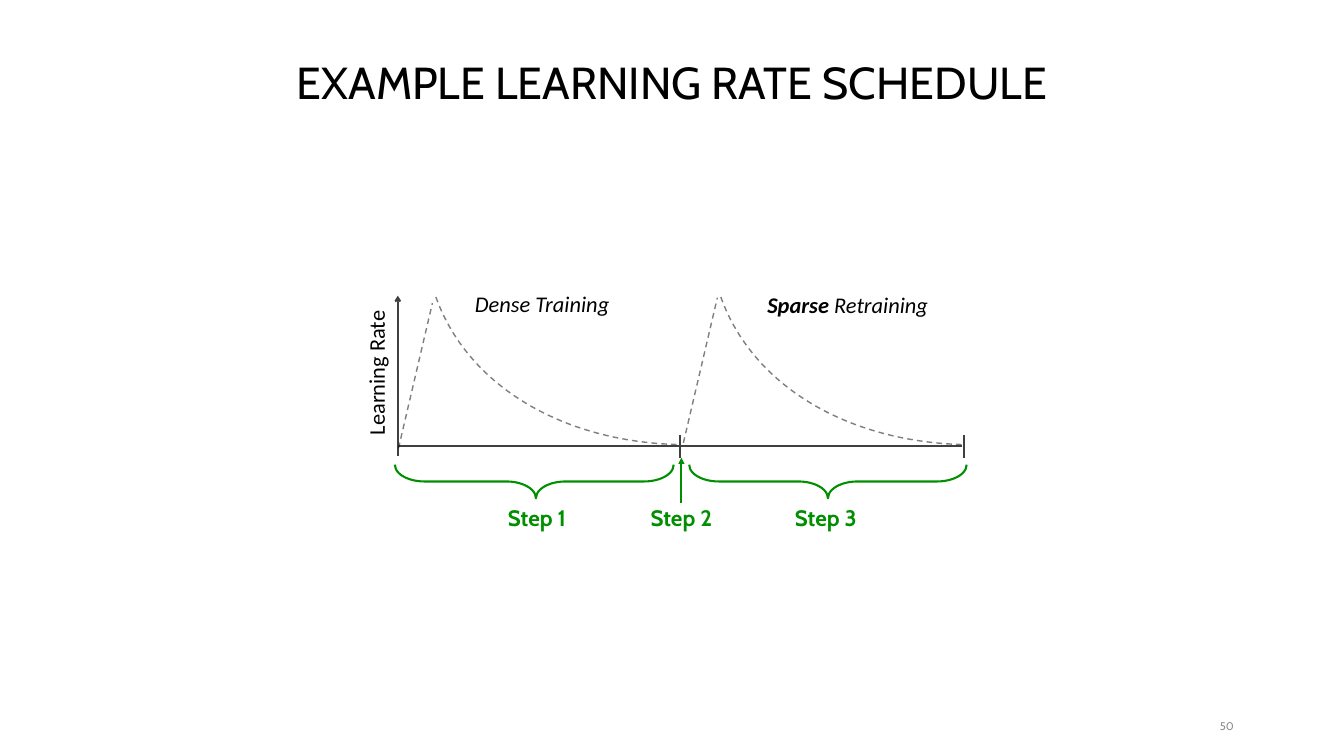
from lxml.etree import SubElement
from pptx import Presentation
from pptx.dml.color import RGBColor
from pptx.enum.dml import MSO_LINE
from pptx.enum.shapes import MSO_CONNECTOR, MSO_SHAPE
from pptx.enum.text import MSO_ANCHOR, PP_ALIGN
from pptx.oxml.ns import qn
from pptx.util import Pt

BLACK = RGBColor(0x00, 0x00, 0x00)
AXIS_GRAY = RGBColor(0x40, 0x40, 0x40)
NUMBER_GRAY = RGBColor(0x8C, 0x8C, 0x8C)
GREEN = RGBColor(0x00, 0x8F, 0x00)
AXIS_LEFT, AXIS_Y = 426.24, 478.08
CYCLE_WIDTH = 303.12
CYCLE_ENDS = (728.64, 1032.48)


def add_text(page, area, runs, size, font, color=BLACK, align=PP_ALIGN.CENTER,
             anchor=MSO_ANCHOR.TOP, spacing=None, wrap=True, inset=True):
    """Add a one-paragraph text box; runs are (text, bold, italic) triples."""
    box = page.shapes.add_textbox(*map(Pt, area))
    frame = box.text_frame
    frame.word_wrap = wrap
    frame.vertical_anchor = anchor
    if not inset:
        frame.margin_left = frame.margin_right = 0
        frame.margin_top = frame.margin_bottom = 0
    para = frame.paragraphs[0]
    para.alignment = align
    if spacing:
        para.line_spacing = spacing
    para.font.size = Pt(size)
    para.font.name = font
    para.font.color.rgb = color
    for text, bold, italic in runs:
        span = para.add_run()
        span.text = text
        span.font.bold = bold
        span.font.italic = italic
    return box


def style_line(shape, color, width):
    """Set the colour and width of an outline."""
    shape.line.color.rgb = color
    shape.line.width = Pt(width)


def dash_line(shape):
    """Give an outline the half-transparent dashes of the rate curve."""
    style_line(shape, BLACK, 1.5)
    shape.line.dash_style = MSO_LINE.DASH
    color = shape.line._get_or_add_ln().find(".//" + qn("a:srgbClr"))
    SubElement(color, qn("a:alpha"), val="50000")


def add_line(page, start, end, color=AXIS_GRAY, width=2, arrow=None):
    """Add a straight line, with an arrowhead at its end if one is named."""
    line = page.shapes.add_connector(
        MSO_CONNECTOR.STRAIGHT, *map(Pt, (*start, *end)))
    style_line(line, color, width)
    if arrow:
        SubElement(line.line._get_or_add_ln(), qn("a:tailEnd"), type=arrow)
    SubElement(line._element.spPr, qn("a:effectLst"))
    return line


def add_outline(page, kind, area, rotation, adjustments):
    """Add an unfilled, rotated preset shape."""
    shape = page.shapes.add_shape(kind, *map(Pt, area))
    shape.shadow.inherit = False
    shape.fill.background()
    shape.rotation = rotation
    for index, value in enumerate(adjustments):
        shape.adjustments[index] = value
    return shape


def add_axes(page):
    """Draw both axes, the cycle end ticks and the vertical axis label."""
    for left in (AXIS_LEFT, 727.92):
        add_line(page, (left, AXIS_Y), (left + CYCLE_WIDTH, AXIS_Y))
    for x in CYCLE_ENDS:
        add_line(page, (x, 466.56), (x, 490.32))
    add_line(page, (AXIS_LEFT, 488.88), (AXIS_LEFT, 316.8), arrow="arrow")
    label = add_text(page, (324.72, 381.6, 156.24, 36),
                     [("Learning Rate", None, None)], 24, "Calibri")
    label.rotation = 270


def add_cycle(page, foot, curve_left):
    """Draw one cycle: a steep warm-up line and a decaying arc."""
    x, y = foot
    dash_line(add_line(page, foot, (x + 36.36, y - 155.52)))
    dash_line(add_outline(page, MSO_SHAPE.ARC, (curve_left, -61.92, 699.12, 527.76),
                          160.8, (182.309, 0)))


def add_brace(page, area, middle):
    """Draw a green brace that points down at a step label."""
    brace = add_outline(page, MSO_SHAPE.RIGHT_BRACE, area, 90, (0.878, middle))
    style_line(brace, GREEN, 2.25)


def add_step(page, number, center, top):
    """Add a green step label centred on the given position."""
    return add_text(page, (center - 43.2, top, 86.4, 33.12),
                    [(f"Step {number}", True, None)], 24, "Cabin", GREEN,
                    anchor=MSO_ANCHOR.MIDDLE, spacing=0.9, wrap=False)


def main():
    """Build the learning rate schedule slide."""
    deck = Presentation()
    deck.slide_width, deck.slide_height = Pt(1440), Pt(810)
    page = deck.slides.add_slide(deck.slide_layouts[6])
    add_text(page, (1279.44, 771.12, 42.48, 14.4), [("50", None, None)], 12,
             "Cabin", NUMBER_GRAY, PP_ALIGN.RIGHT, MSO_ANCHOR.MIDDLE, inset=False)
    add_text(page, (65.52, 43.2, 1308.96, 77.76),
             [("EXAMPLE LEARNING RATE SCHEDULE", None, None)], 48, "Cabin",
             anchor=MSO_ANCHOR.BOTTOM, spacing=0.9)

    add_axes(page)
    add_cycle(page, (426.96, 480.24), 447.12)
    add_cycle(page, (732.24, 474.48), 752.4)
    add_text(page, (501.84, 307.44, 273.6, 36),
             [("Dense Training", None, True)], 24, "Calibri", align=PP_ALIGN.LEFT)
    add_text(page, (815.04, 308.16, 321.84, 36),
             [("Sparse", True, True), (" Retraining", False, True)], 24,
             "Calibri", align=PP_ALIGN.LEFT)

    add_brace(page, (554.4, 366.48, 36, 298.8), 0.494)
    add_brace(page, (869.04, 367.2, 36, 297.36), 0.5)
    add_step(page, 1, 575.28, 540)
    prune_step = add_step(page, 2, 730.08, 539.28)
    add_step(page, 3, 884.88, 540)
    arrow = add_line(page, (730.08, 539.28), (730.08, 490.32), GREEN, 2.25, "triangle")
    arrow.begin_connect(prune_step, 0)
    deck.save("out.pptx")


if __name__ == "__main__":
    main()
